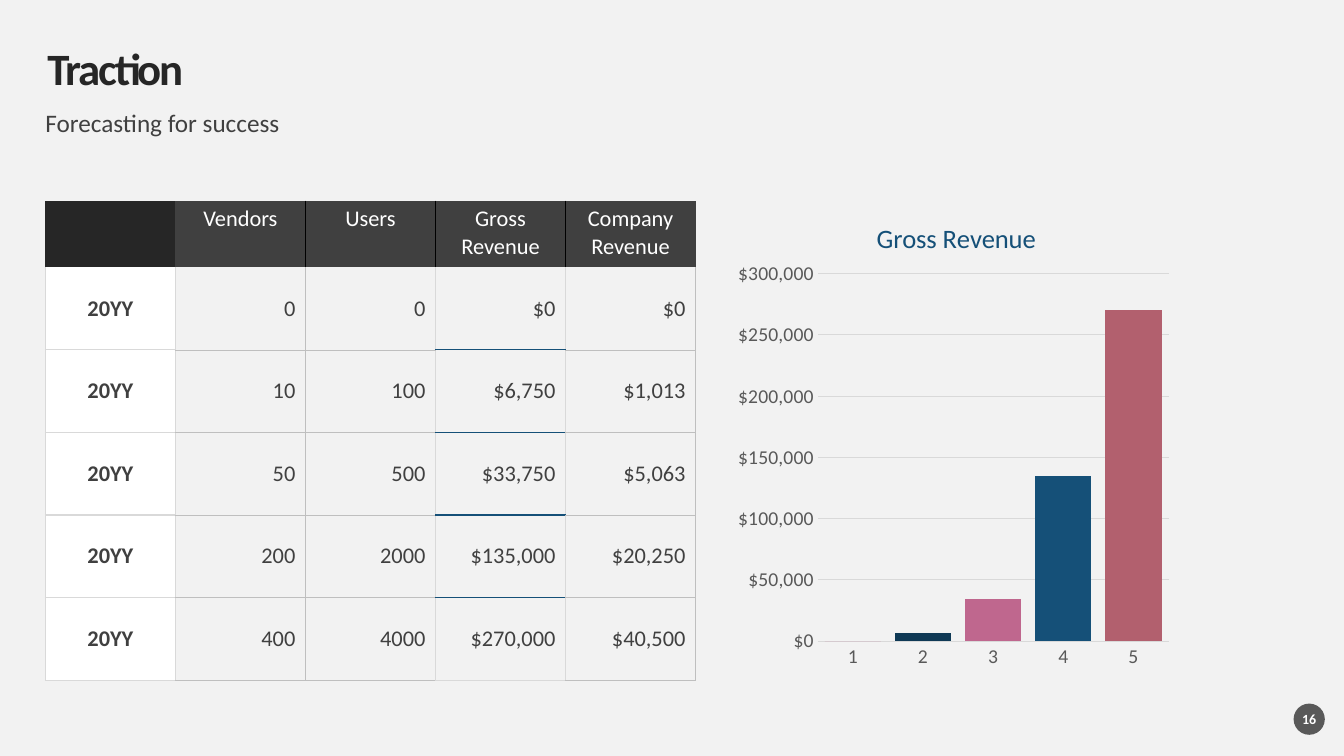
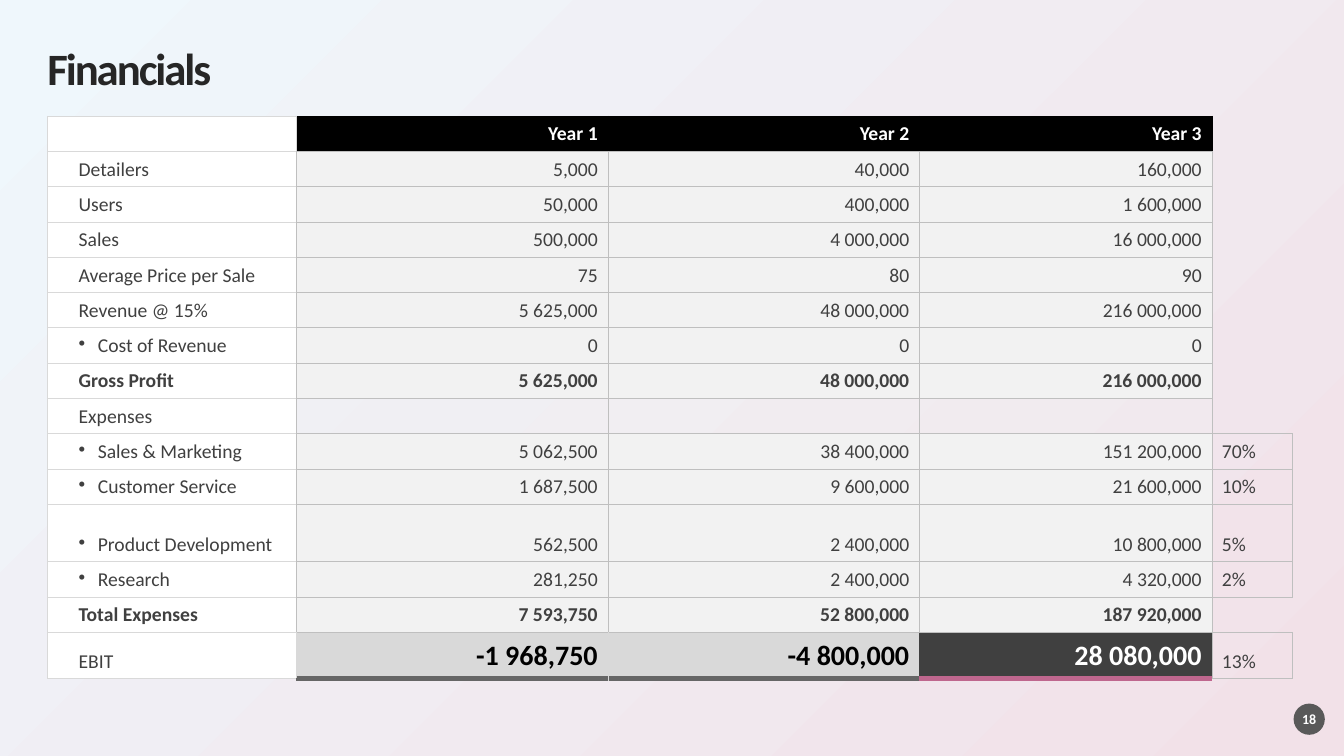
from lxml import etree
from pptx import Presentation
from pptx.chart.data import CategoryChartData
from pptx.dml.color import RGBColor
from pptx.enum import chart as ch, shapes, text
from pptx.oxml import ns
from pptx.util import Inches, Pt

FONT = "Calibri"
COLORS = {
    "paper": "F2F2F2", "white": "FFFFFF", "black": "000000", "ink": "262626",
    "text": "404040", "badge": "595959", "light": "D9D9D9", "hair": "BFBFBF",
    "rule": "666666", "blue": "155078", "navy": "0F3955", "pink": "BF678E",
    "rose": "B2606E", "sky": "EFF7FC", "blush": "F2E1E8",
}
LEFT, CENTER, RIGHT = (text.PP_ALIGN.LEFT, text.PP_ALIGN.CENTER, text.PP_ALIGN.RIGHT)
TOP, MIDDLE, BOTTOM = (text.MSO_ANCHOR.TOP, text.MSO_ANCHOR.MIDDLE, text.MSO_ANCHOR.BOTTOM)
PLAIN_TABLE = "{2D5ABB26-0587-4C30-8999-92F81FD0307C}"

TRACTION = [
    ["", "Vendors", "Users", "Gross Revenue", "Company Revenue"],
    ["20YY", "0", "0", "$0", "$0"],
    ["20YY", "10", "100", "$6,750", "$1,013"],
    ["20YY", "50", "500", "$33,750", "$5,063"],
    ["20YY", "200", "2000", "$135,000", "$20,250"],
    ["20YY", "400", "4000", "$270,000", "$40,500"],
]
FINANCIALS = [
    ["", "Year 1", "Year 2", "Year 3", ""],
    ["Detailers", "5,000", "40,000", "160,000", ""],
    ["Users", "50,000", "400,000", "1 600,000", ""],
    ["Sales", "500,000", "4 000,000", "16 000,000", ""],
    ["Average Price per Sale", "75", "80", "90", ""],
    ["Revenue @ 15%", "5 625,000", "48 000,000", "216 000,000", ""],
    ["Cost of Revenue", "0", "0", "0", ""],
    ["Gross Profit", "5 625,000", "48 000,000", "216 000,000", ""],
    ["Expenses", "", "", "", ""],
    ["Sales & Marketing", "5 062,500", "38 400,000", "151 200,000", "70%"],
    ["Customer Service", "1 687,500", "9 600,000", "21 600,000", "10%"],
    ["Product Development", "562,500", "2 400,000", "10 800,000", "5%"],
    ["Research", "281,250", "2 400,000", "4 320,000", "2%"],
    ["Total Expenses", "7 593,750", "52 800,000", "187 920,000", ""],
    ["EBIT", "-1 968,750", "-4 800,000", "28 080,000", "13%"],
]
BULLETED = {"Cost of Revenue", "Sales & Marketing", "Customer Service",
            "Product Development", "Research"}
TOTALS = {"Gross Profit", "Total Expenses"}


def rgb(name):
    return RGBColor.from_string(COLORS[name])


def add_xml(parent, tag, **attrs):
    return etree.SubElement(parent, ns.qn(tag), {k: str(v) for k, v in attrs.items()})


def paint(target, color):
    target.fill.solid()
    target.fill.fore_color.rgb = rgb(color)


def style_font(font, size, color, bold=False):
    font.name, font.size, font.bold = FONT, Pt(size), bold
    font.color.rgb = rgb(color)


def write(tf, content, size, color, bold=False, align=LEFT):
    tf.text = content
    p = tf.paragraphs[0]
    p.alignment = align
    for r in p.runs:
        style_font(r.font, size, color, bold)
    if not content:
        p._p.get_or_add_endParaRPr().set("sz", str(size * 100))
    return p


def clear_margins(tf):
    tf.margin_left = tf.margin_top = tf.margin_right = tf.margin_bottom = 0


def place(sp, left, top, width, height):
    sp.left, sp.top, sp.width, sp.height = map(Inches, (left, top, width, height))
    clear_margins(sp.text_frame)


def add_slide(prs, layout, title, number):
    slide = prs.slides.add_slide(prs.slide_layouts[layout])
    sp = slide.shapes.title
    place(sp, 0.47, 0.47, 12.39, 0.47)
    sp.text_frame.vertical_anchor = MIDDLE
    p = write(sp.text_frame, title, 32, "ink", True)
    p.line_spacing = 0.9
    p.runs[0].font._element.set("spc", "-150")
    badge = slide.shapes.add_shape(shapes.MSO_SHAPE.OVAL, 0, 0, 0, 0)
    place(badge, 12.83, 6.98, 0.31, 0.31)
    badge.shadow.inherit = False
    paint(badge, "badge")
    badge.line.fill.background()
    badge.text_frame.vertical_anchor = MIDDLE
    write(badge.text_frame, str(number), 10, "white", True, CENTER)
    return slide


def add_subtitle(slide, content):
    sp = slide.placeholders[1]
    place(sp, 0.45, 1.1, 11.09, 0.28)
    p = write(sp.text_frame, content, 18, "text")
    p.line_spacing, p.space_before = 0.9, Pt(10)
    pPr = p._p.get_or_add_pPr()
    pPr.set("marL", "0")
    pPr.set("indent", "0")
    add_xml(pPr, "a:buNone")


def add_table(slide, left, top, widths, heights):
    frame = slide.shapes.add_table(len(heights), len(widths), Inches(left), Inches(top),
                                   Inches(sum(widths)), Inches(sum(heights)))
    table = frame.table
    table.first_row = table.horz_banding = False
    table._tbl.tblPr.find(ns.qn("a:tableStyleId")).text = PLAIN_TABLE
    for column, width in zip(table.columns, widths):
        column.width = Inches(width)
    for row, height in zip(table.rows, heights):
        row.height = Inches(height)
    return table


def style_cell(cell, fill, borders, anchor):
    cell.vertical_anchor = anchor
    if fill:
        paint(cell, fill)
    else:
        cell.fill.background()
    tcPr = cell._tc.get_or_add_tcPr()
    sides = [side for side in "LRTB" if side in borders]
    for i, side in enumerate(sides):
        color, width = borders[side]
        ln = add_xml(tcPr, f"a:ln{side}", w=Pt(width))
        add_xml(add_xml(ln, "a:solidFill"), "a:srgbClr", val=COLORS[color])
        tcPr.insert(i, ln)


def traction_borders(r, c, last):
    light, hair, black, blue = ("light", 1), ("hair", 0.25), ("black", 1), ("blue", 1)
    if r == 0:
        borders = {"L": black} if c > 1 else {}
        return {**borders, "R": black} if 0 < c < 4 else borders
    across = {0: light, 3: blue}.get(c, hair)
    borders = {"L": hair if c == 2 else light, "R": hair if c in (1, 4) else light,
               "B": light if c == 3 and r == last else across}
    if r > 1:
        borders["T"] = across
    return borders


def add_traction_table(slide):
    table = add_table(slide, 0.45, 1.99, [1.29] * 5, [0.66] + [0.82] * 5)
    for r, row in enumerate(TRACTION):
        for c, content in enumerate(row):
            cell = table.cell(r, c)
            borders = traction_borders(r, c, len(TRACTION) - 1)
            if r == 0:
                style_cell(cell, "text" if c else "ink", borders, TOP)
                write(cell.text_frame, content, 16, "white", align=CENTER)
            else:
                fill = {0: "white", 3: "paper"}.get(c)
                style_cell(cell, fill, borders, MIDDLE)
                write(cell.text_frame, content, 16, "text", c == 0, RIGHT if c else CENTER)


def set_layout(element, **fractions):
    old = element.find(ns.qn("c:layout"))
    layout = etree.Element(ns.qn("c:layout"))
    manual = add_xml(layout, "c:manualLayout")
    if "w" in fractions:
        add_xml(manual, "c:layoutTarget", val="inner")
    for axis in "xy":
        add_xml(manual, f"c:{axis}Mode", val="edge")
    for key, value in fractions.items():
        add_xml(manual, f"c:{key}", val=value)
    if old is not None:
        element.replace(old, layout)
    else:
        element.insert(1 if "w" not in fractions else 0, layout)


def add_revenue_chart(slide):
    data = CategoryChartData()
    data.categories = ["1", "2", "3", "4", "5"]
    data.add_series("Series 1", [0, 7000, 34000, 135000, 270000])
    chart = slide.shapes.add_chart(ch.XL_CHART_TYPE.COLUMN_CLUSTERED, Inches(7.22), Inches(1.89),
                                   Inches(4.46), Inches(4.86), data).chart
    style_font(chart.font, 10, "black")
    chart.has_legend = False
    title = chart.chart_title
    write(title.text_frame, "Gross Revenue", 19, "blue")
    set_layout(title._element, x=0.32, y=0.05)
    set_layout(chart._chartSpace.chart.plotArea, x=0.2, y=0.17, w=0.78, h=0.75)
    for axis in (chart.category_axis, chart.value_axis):
        axis.major_tick_mark = axis.minor_tick_mark = ch.XL_TICK_MARK.NONE
        style_font(axis.tick_labels.font, 14, "badge")
    value_axis = chart.value_axis
    value_axis.minimum_scale, value_axis.maximum_scale, value_axis.major_unit = 0, 300000, 50000
    value_axis.format.line.fill.background()
    value_axis.tick_labels.number_format = "[$$-409]#,##0"
    value_axis.tick_labels.number_format_is_linked = False
    for line in (chart.category_axis.format.line, value_axis.major_gridlines.format.line):
        line.width = Pt(0.75)
        line.color.rgb = rgb("light")
    plot = chart.plots[0]
    plot.gap_width, plot.vary_by_categories = 25, False
    series = plot.series[0]
    paint(series.format, "pink")
    for i, color in {1: "navy", 3: "blue", 4: "rose"}.items():
        paint(series.points[i].format, color)


def label_cell(cell, r, last, label):
    light, hair = ("light", 0.25), ("hair", 0.25)
    borders = {"L": light, "T": light, "B": light, "R": light if r in (0, last) else hair}
    style_cell(cell, "white", borders, BOTTOM)
    cell.margin_left = Inches(0.31)
    p = write(cell.text_frame, label, 14, "text", label in TOTALS)
    if label in BULLETED:
        pPr = p._p.get_or_add_pPr()
        pPr.set("marL", str(Inches(0.19)))
        pPr.set("indent", str(Inches(-0.19)))
        add_xml(pPr, "a:buChar", char="•")


def amount_cell(cell, r, c, last, label, amount):
    light, hair, black = ("light", 0.25), ("hair", 0.25), ("black", 0.25)
    size, color, bold, fill = 14, "text", label in TOTALS, "paper"
    borders = dict.fromkeys("LRTB", hair)
    if r == 0:
        color, bold, fill = "white", True, "black"
        borders = {"L": light if c == 1 else black, "R": black, "T": black, "B": hair}
    elif r == last:
        final = c == 3
        size, color, bold = 20, "white" if final else "black", True
        fill = "text" if final else "light"
        borders = {"T": hair, "B": ("pink" if final else "rule", 4.5)}
        if c == 1:
            borders["L"] = light
        if final:
            borders["R"] = hair
    style_cell(cell, fill, borders, BOTTOM)
    if not amount:
        clr = cell._tc.tcPr.find(ns.qn("a:solidFill"))[0]
        add_xml(clr, "a:alpha", val=36000)
    write(cell.text_frame, amount, size, color, bold, RIGHT)


def share_cell(cell, r, last, share):
    hair = ("hair", 0.25)
    borders = {"L": hair if r else ("black", 0.25)}
    if share:
        borders = dict.fromkeys("LRTB", hair)
    else:
        if r < last and FINANCIALS[r + 1][4]:
            borders["B"] = hair
        if r and FINANCIALS[r - 1][4]:
            borders["T"] = hair
    style_cell(cell, None, borders, BOTTOM)
    write(cell.text_frame, share, 14, "text")


def add_financials_table(slide):
    heights = [0.35] * 11 + [0.57, 0.35, 0.35, 0.46]
    table = add_table(slide, 0.47, 1.15, [2.47, 3.09, 3.09, 2.9, 0.8], heights)
    last = len(FINANCIALS) - 1
    for r, (label, *amounts, share) in enumerate(FINANCIALS):
        label_cell(table.cell(r, 0), r, last, label)
        for c, amount in enumerate(amounts, 1):
            amount_cell(table.cell(r, c), r, c, last, label, amount)
        share_cell(table.cell(r, 4), r, last, share)


def set_radial_background(slide, inner, outer):
    fill = slide.background.fill
    fill.gradient()
    for stop, color in zip(fill.gradient_stops, (inner, outer)):
        stop.color.rgb = rgb(color)
    lin = slide._element.find(".//" + ns.qn("a:lin"))
    radial = etree.Element(ns.qn("a:path"), {"path": "circle"})
    add_xml(radial, "a:fillToRect", r=100000, b=100000)
    lin.getparent().replace(lin, radial)


def main():
    prs = Presentation()
    prs.slide_width, prs.slide_height = Inches(13.33), Inches(7.5)
    traction = add_slide(prs, 1, "Traction", 16)
    paint(traction.background, "paper")
    add_subtitle(traction, "Forecasting for success")
    add_traction_table(traction)
    add_revenue_chart(traction)
    financials = add_slide(prs, 5, "Financials", 18)
    set_radial_background(financials, "sky", "blush")
    add_financials_table(financials)
    prs.save("out.pptx")


if __name__ == "__main__":
    main()
